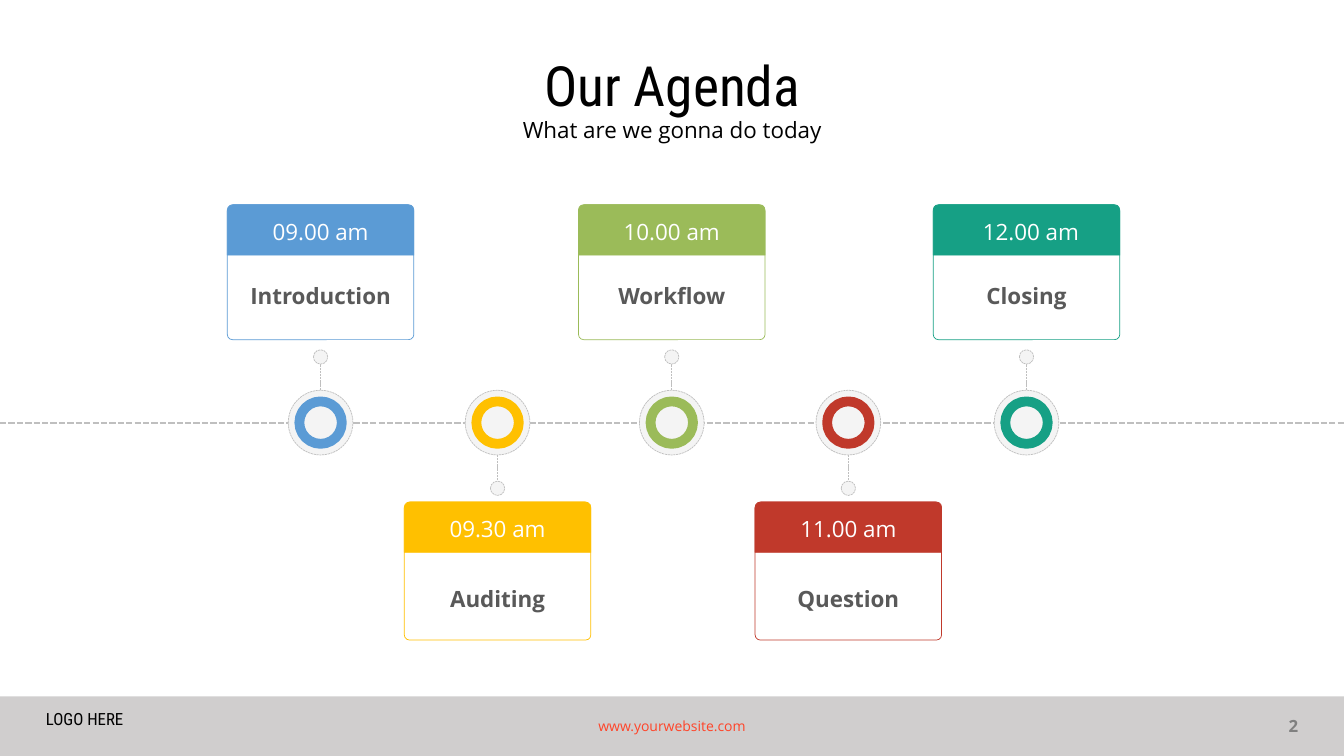
"""Build an agenda slide: five timed sessions on a horizontal timeline."""
from dataclasses import dataclass

from lxml import etree
from pptx import Presentation
from pptx.dml.color import RGBColor
from pptx.enum.dml import MSO_LINE
from pptx.enum.shapes import MSO_CONNECTOR, MSO_SHAPE
from pptx.enum.text import MSO_ANCHOR, MSO_AUTO_SIZE, PP_ALIGN
from pptx.oxml.ns import qn
from pptx.util import Cm, Pt

LEFT, CENTER, RIGHT = PP_ALIGN.LEFT, PP_ALIGN.CENTER, PP_ALIGN.RIGHT
TOP, MIDDLE = MSO_ANCHOR.TOP, MSO_ANCHOR.MIDDLE
RECT, OVAL = MSO_SHAPE.RECTANGLE, MSO_SHAPE.OVAL
ROUNDED, ROUNDED_TOP = MSO_SHAPE.ROUNDED_RECTANGLE, MSO_SHAPE.ROUND_2_SAME_RECTANGLE
STRAIGHT = MSO_CONNECTOR.STRAIGHT
DASH = MSO_LINE.SQUARE_DOT
FIT_SHAPE, NO_FIT = MSO_AUTO_SIZE.SHAPE_TO_FIT_TEXT, MSO_AUTO_SIZE.NONE


@dataclass(frozen=True)
class Theme:
    """Fonts, type sizes in points and colours."""
    heading: str = "Roboto Condensed"
    body: str = "Open Sans"
    title_size: float = 39.6
    text_size: float = 16
    footer_size: float = 12
    link_size: float = 10
    black: str = "000000"
    white: str = "FFFFFF"
    topic: str = "595959"
    number: str = "808080"
    link: str = "FF4429"
    band: str = "D0CECE"
    pale: str = "F4F4F4"
    dash: str = "BFBFBF"


@dataclass(frozen=True)
class Session:
    """One agenda entry; center and time_shift are in centimetres."""
    time: str
    topic: str
    color: str
    center: float
    above: bool
    time_shift: float = 0


WIDTH, HEIGHT = 33.87, 19.05
SPINE_Y = 10.65
HALO, RING, DOT, STEM = 1.63, 1.07, 0.36, 0.66
CARD_WIDTH, HEADER_HEIGHT, LABEL_HEIGHT = 4.7, 1.27, 0.94
FOOTER_TOP, FOOTER_TEXT_TOP, FOOTER_TEXT_HEIGHT = 17.55, 17.78, 1.02

SESSIONS = [
    Session("09.00 am", "Introduction", "5B9BD5", 8.08, True),
    Session("09.30 am", "Auditing", "FFC000", 12.54, False),
    Session("10.00 am", "Workflow", "9BBB59", 16.93, True),
    Session("11.00 am", "Question", "C0392B", 21.38, False),
    Session("12.00 am", "Closing", "16A085", 25.87, True, 0.11),
]


class AgendaSlide:
    """Draws themed elements on the current slide, in centimetres."""

    def __init__(self, slide, theme):
        """Keep the slide and its style."""
        self.slide = slide
        self.theme = theme

    def fill_text(self, frame, text, size, color, font=None, align=CENTER,
                  anchor=TOP, bold=False, spacing=1.0, fit=NO_FIT):
        """Fill a text frame with one formatted run."""
        frame.word_wrap = True
        frame.auto_size = fit
        frame.vertical_anchor = anchor
        paragraph = frame.paragraphs[0]
        paragraph.alignment = align
        paragraph.line_spacing = spacing
        paragraph.space_before = Pt(0)
        run = paragraph.add_run()
        run.text = text
        run.font.name = font or self.theme.body
        run.font.size = Pt(size)
        run.font.bold = bold
        run.font.color.rgb = RGBColor.from_string(color)

    def placeholder(self, holder, left, top, width, height, text, size, **style):
        """Move a template placeholder and set its text."""
        holder.left, holder.top = Cm(left), Cm(top)
        holder.width, holder.height = Cm(width), Cm(height)
        self.fill_text(holder.text_frame, text, size, self.theme.black, **style)

    def label(self, left, top, width, height, text, size, color, **style):
        """Add a text box."""
        box = self.slide.shapes.add_textbox(Cm(left), Cm(top), Cm(width), Cm(height))
        self.fill_text(box.text_frame, text, size, color, **style)

    def stroke(self, line, color, weight, dashed):
        """Format an outline or a connector line."""
        line.color.rgb = RGBColor.from_string(color)
        line.width = Pt(weight)
        if dashed:
            line.dash_style = DASH

    def block(self, kind, left, top, width, height, fill=None, outline=None,
              weight=0.5, dashed=False, corners=()):
        """Add a preset shape."""
        shape = self.slide.shapes.add_shape(kind, Cm(left), Cm(top), Cm(width), Cm(height))
        shape.shadow.inherit = False
        for index, corner in enumerate(corners):
            shape.adjustments[index] = corner
        if fill:
            shape.fill.solid()
            shape.fill.fore_color.rgb = RGBColor.from_string(fill)
        else:
            shape.fill.background()
        if outline:
            self.stroke(shape.line, outline, weight, dashed)
        else:
            shape.line.fill.background()

    def circle(self, x, y, diameter, outline, **style):
        """Add a pale circle around a centre point."""
        self.block(OVAL, x - diameter / 2, y - diameter / 2, diameter, diameter,
                   fill=self.theme.pale, outline=outline, **style)

    def dashed_line(self, x1, y1, x2, y2, weight):
        """Add a dashed straight connector."""
        line = self.slide.shapes.add_connector(STRAIGHT, Cm(x1), Cm(y1), Cm(x2), Cm(y2))
        self.stroke(line.line, self.theme.dash, weight, True)
        etree.SubElement(line._element.spPr, qn("a:effectLst"))

    def marker(self, session):
        """Draw the stem, end dot and coloured ring of a session."""
        x, dash = session.center, self.theme.dash
        side = -1 if session.above else 1
        stem_start = SPINE_Y + side * HALO / 2
        stem_end = stem_start + side * STEM
        self.dashed_line(x, stem_start, x, stem_end, 0.5)
        self.circle(x, stem_end + side * DOT / 2, DOT, dash, dashed=True)
        self.circle(x, SPINE_Y, HALO, dash, dashed=True)
        self.circle(x, SPINE_Y, RING, session.color, weight=7)

    def card(self, session):
        """Draw the card with the time and topic of a session."""
        top, height, topic_offset = (5.16, 3.4, 1.83) if session.above else (12.65, 3.48, 1.96)
        left, color = session.center - CARD_WIDTH / 2, session.color
        size = self.theme.text_size
        self.block(ROUNDED, left, top, CARD_WIDTH, height, outline=color, corners=(0.038,))
        self.block(ROUNDED_TOP, left, top, CARD_WIDTH, HEADER_HEIGHT,
                   fill=color, outline=color, corners=(0.125, 0))
        self.label(left + session.time_shift, top + 0.2, CARD_WIDTH, LABEL_HEIGHT,
                   session.time, size, self.theme.white, fit=FIT_SHAPE)
        self.label(left, top + topic_offset, CARD_WIDTH, LABEL_HEIGHT,
                   session.topic, size, self.theme.topic, bold=True, fit=FIT_SHAPE)

    def heading(self):
        """Set the title and subtitle."""
        theme = self.theme
        title, subtitle = self.slide.placeholders
        self.placeholder(title, 2.34, 1.57, 29.2, 1.32, "Our Agenda", theme.title_size,
                         font=theme.heading, anchor=MIDDLE, spacing=0.9)
        self.placeholder(subtitle, 2.34, 2.92, 29.2, 0.81, "What are we gonna do today",
                         theme.text_size, spacing=0.8)

    def footer(self):
        """Draw the footer band and its three texts."""
        theme = self.theme
        self.block(RECT, 0, FOOTER_TOP, WIDTH, HEIGHT - FOOTER_TOP, fill=theme.band)
        for left, width, text, size, color, style in (
            (0.91, 10.6, "LOGO HERE", theme.footer_size, theme.black,
             {"font": theme.heading, "align": LEFT, "spacing": 0.9}),
            (11.22, 11.43, "www.yourwebsite.com", theme.link_size, theme.link,
             {"anchor": MIDDLE}),
            (24.97, 8, "2", theme.footer_size, theme.number,
             {"align": RIGHT, "anchor": MIDDLE, "bold": True}),
        ):
            self.label(left, FOOTER_TEXT_TOP, width, FOOTER_TEXT_HEIGHT,
                       text, size, color, **style)


def main():
    """Build and save the presentation."""
    deck = Presentation()
    deck.slide_width, deck.slide_height = Cm(WIDTH), Cm(HEIGHT)
    agenda = AgendaSlide(deck.slides.add_slide(deck.slide_layouts[0]), Theme())
    agenda.heading()
    agenda.footer()
    agenda.dashed_line(0, SPINE_Y, WIDTH, SPINE_Y, 1.5)
    for session in SESSIONS:
        agenda.marker(session)
        agenda.card(session)
    deck.save("out.pptx")


if __name__ == "__main__":
    main()
